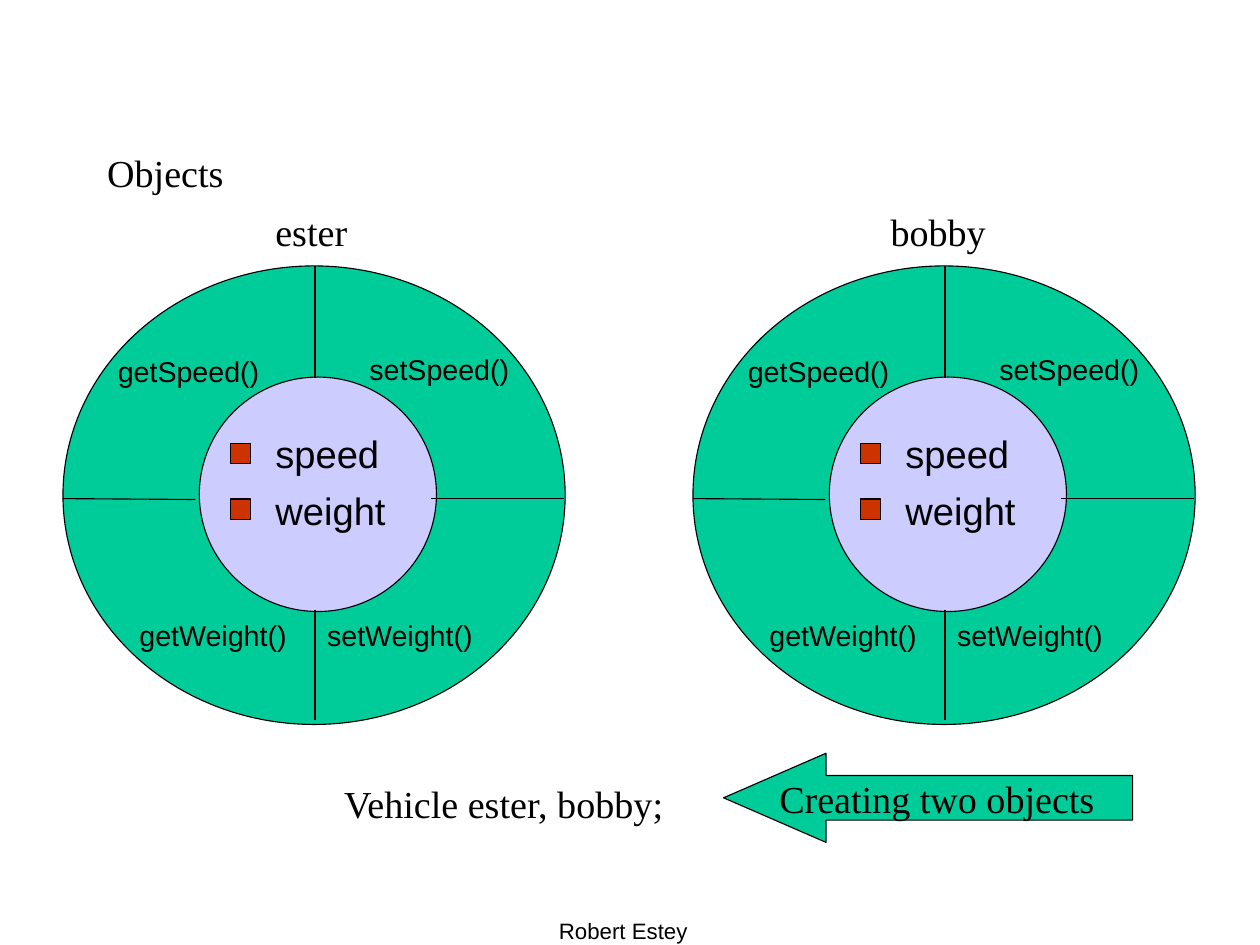
"""Build a slide with two Vehicle objects, their methods and their data."""
from dataclasses import dataclass

from lxml.etree import SubElement
from pptx import Presentation
from pptx.dml.color import RGBColor
from pptx.enum.shapes import MSO_CONNECTOR, MSO_SHAPE
from pptx.enum.text import MSO_ANCHOR, MSO_AUTO_SIZE, PP_ALIGN
from pptx.oxml.ns import qn
from pptx.shapes.autoshape import Shape
from pptx.slide import Slide
from pptx.text.text import TextFrame
from pptx.util import Cm, Pt

BLACK = RGBColor(0x00, 0x00, 0x00)
GREEN = RGBColor(0x00, 0xCC, 0x99)
LAVENDER = RGBColor(0xCC, 0xCC, 0xFF)
RED = RGBColor(0xCC, 0x33, 0x00)
SERIF = "Times New Roman"
SANS = "Arial"
LINE_WIDTH = Pt(0.71)
TWO_CONTENT_LAYOUT = 3
OBJECT_STEP = 14.0


@dataclass(frozen=True)
class Label:
    text: str
    left: float
    top: float
    width: float
    height: float
    font: str
    size: int


@dataclass(frozen=True)
class Divider:
    start_x: float
    start_y: float
    end_x: float
    end_y: float


@dataclass(frozen=True)
class VehicleObject:
    name: Label
    offset: float


TITLE = Label("Objects", 2.38, 3.28, 6.0, 1.09, SERIF, 24)
CAPTIONS = (
    Label("Robert Estey", 12.42, 20.35, 3.2, 0.64, SANS, 14),
    Label("Vehicle ester, bobby;", 7.65, 17.3, 8.2, 1.09, SERIF, 24),
)
VEHICLES = (
    VehicleObject(Label("ester", 6.12, 4.6, 1.8, 1.09, SERIF, 24), 0),
    VehicleObject(Label("bobby", 19.79, 4.6, 2.4, 1.09, SERIF, 24), OBJECT_STEP),
)
METHODS = (
    Label("getSpeed()", 2.62, 7.83, 3.6, 0.84, SANS, 18),
    Label("setSpeed()", 8.21, 7.79, 3.6, 0.84, SANS, 18),
    Label("getWeight()", 3.1, 13.7, 3.7, 0.84, SANS, 18),
    Label("setWeight()", 7.27, 13.7, 3.7, 0.84, SANS, 18),
)
DIVIDERS = (
    Divider(1.4, 11.08, 4.34, 11.1),
    Divider(9.58, 11.08, 12.53, 11.08),
    Divider(7.0, 13.55, 7.0, 16.0),
    Divider(7.0, 8.4, 7.0, 5.91),
)
DATA = Label("speed\nweight", 6.12, 9.56, 3.0, 2.3, SANS, 24)
MARKER_TOP = 9.86
MARKER_STEP = 1.23


def format_text(frame: TextFrame, font: str, size: int, anchor: MSO_ANCHOR) -> None:
    """Give a text frame no margins, left alignment and one font."""
    frame.margin_left = frame.margin_right = frame.margin_top = frame.margin_bottom = 0
    frame.word_wrap = True
    frame.auto_size = MSO_AUTO_SIZE.NONE
    frame.vertical_anchor = anchor
    for para in frame.paragraphs:
        para.alignment = PP_ALIGN.LEFT
        for span in para.runs:
            span.font.name = font
            span.font.size = Pt(size)
            span.font.color.rgb = BLACK


def fill_box(box: Shape, label: Label, offset: float = 0,
             anchor: MSO_ANCHOR = MSO_ANCHOR.MIDDLE) -> None:
    """Place a box and write a label in it."""
    box.left, box.top = Cm(label.left + offset), Cm(label.top)
    box.width, box.height = Cm(label.width), Cm(label.height)
    box.text_frame.text = label.text
    format_text(box.text_frame, label.font, label.size, anchor)


def add_label(page: Slide, label: Label, offset: float = 0) -> None:
    """Add a text box for a label."""
    fill_box(page.shapes.add_textbox(0, 0, 0, 0), label, offset)


def add_outlined(page: Slide, kind: MSO_SHAPE, left: float, top: float,
                 width: float, height: float, color: RGBColor) -> Shape:
    """Add a filled preset shape with a thin black outline."""
    shape = page.shapes.add_shape(kind, Cm(left), Cm(top), Cm(width), Cm(height))
    shape.shadow.inherit = False
    shape.fill.solid()
    shape.fill.fore_color.rgb = color
    shape.line.color.rgb = BLACK
    shape.line.width = LINE_WIDTH
    return shape


def add_divider(page: Slide, divider: Divider, offset: float) -> None:
    """Add a thin line between two methods."""
    line = page.shapes.add_connector(
        MSO_CONNECTOR.STRAIGHT,
        Cm(divider.start_x + offset), Cm(divider.start_y),
        Cm(divider.end_x + offset), Cm(divider.end_y))
    line.line.color.rgb = BLACK
    line.line.width = LINE_WIDTH
    SubElement(line.element.spPr, qn("a:effectLst"))


def fill_data_list(body: Shape, offset: float) -> None:
    """Write the data members in a body placeholder and bring it to the front."""
    fill_box(body, DATA, offset, MSO_ANCHOR.TOP)
    for para in body.text_frame.paragraphs:
        para.space_before = Pt(0)
        para.space_after = Pt(7.5)
        properties = para._p.get_or_add_pPr()
        properties.set("marL", "0")
        properties.set("indent", "0")
        SubElement(properties, qn("a:buNone"))
    body.element.getparent().append(body.element)


def draw_vehicle(page: Slide, vehicle: VehicleObject, body: Shape) -> None:
    """Draw one object: its name, methods around it and data inside."""
    offset = vehicle.offset
    add_label(page, vehicle.name)
    add_outlined(page, MSO_SHAPE.OVAL, 1.4 + offset, 5.91, 11.16, 10.19, GREEN)
    add_outlined(page, MSO_SHAPE.OVAL, 4.43 + offset, 8.38, 5.27, 5.21, LAVENDER)
    for divider in DIVIDERS:
        add_divider(page, divider, offset)
    for method in METHODS:
        add_label(page, method, offset)
    for row in range(len(DATA.text.splitlines())):
        add_outlined(page, MSO_SHAPE.RECTANGLE, 5.13 + offset,
                     MARKER_TOP + row * MARKER_STEP, 0.44, 0.45, RED)
    fill_data_list(body, offset)


def draw_creation_arrow(page: Slide) -> None:
    """Draw the arrow that points at the declaration."""
    arrow = add_outlined(page, MSO_SHAPE.LEFT_ARROW, 16.08, 16.74, 9.09, 1.98, GREEN)
    arrow.adjustments[0] = 0.5
    arrow.adjustments[1] = 1.15
    arrow.text_frame.text = "Creating two objects"
    format_text(arrow.text_frame, SERIF, 24, MSO_ANCHOR.MIDDLE)
    arrow.text_frame.margin_left = Cm(0.1)


def main() -> None:
    """Build and save the deck."""
    deck = Presentation()
    deck.slide_width, deck.slide_height = Cm(28), Cm(21)
    page = deck.slides.add_slide(deck.slide_layouts[TWO_CONTENT_LAYOUT])
    title, *bodies = page.placeholders
    fill_box(title, TITLE)
    for caption in CAPTIONS:
        add_label(page, caption)
    for vehicle, body in zip(VEHICLES, bodies):
        draw_vehicle(page, vehicle, body)
    draw_creation_arrow(page)
    deck.save("out.pptx")


if __name__ == "__main__":
    main()
